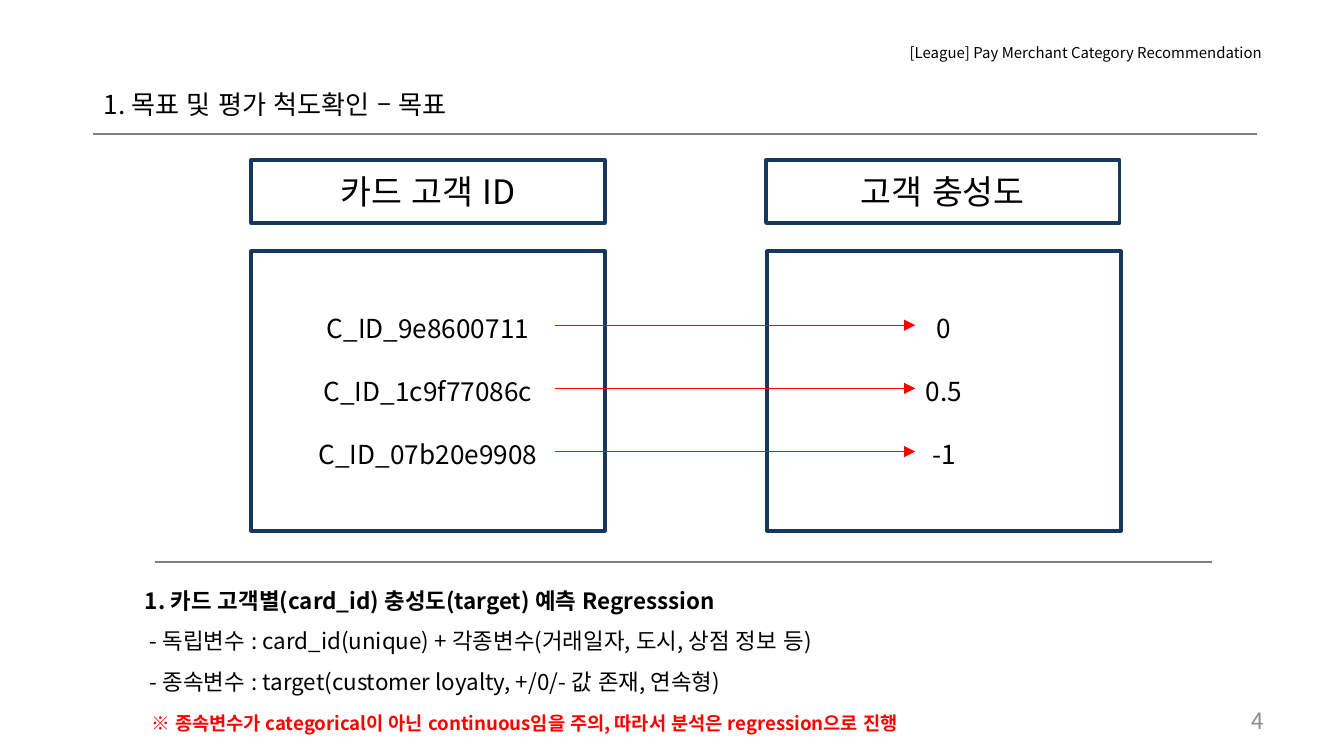
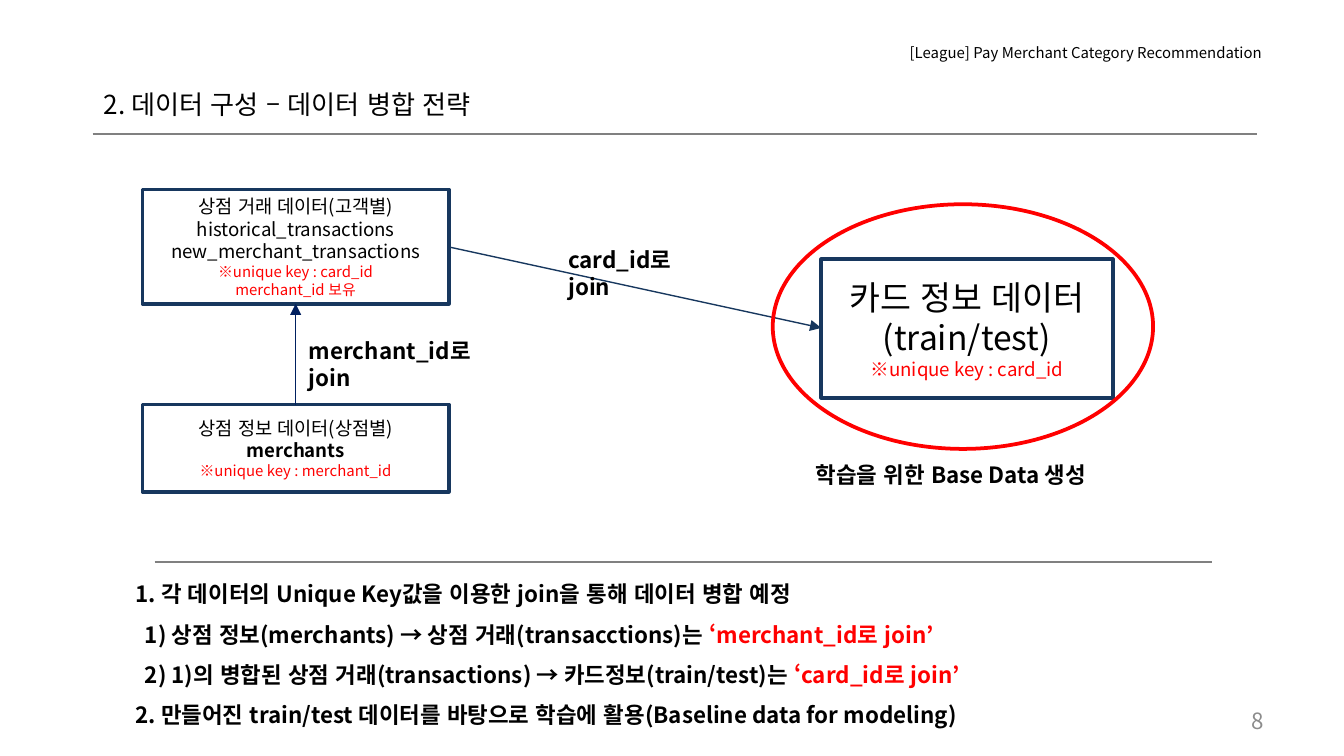
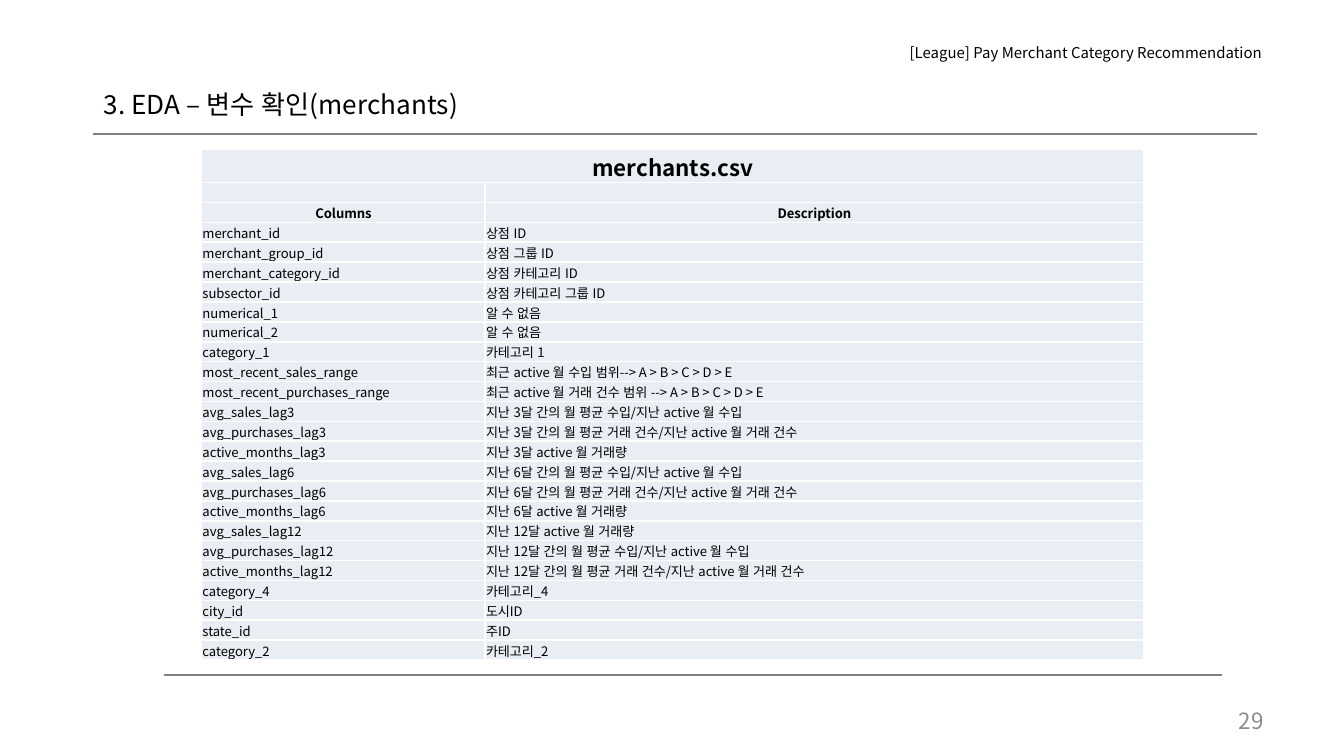
"""Build three slides on card loyalty: goal, data merge plan and merchant columns."""
from typing import NamedTuple

from lxml import etree
from pptx import Presentation
from pptx.dml.color import RGBColor
from pptx.enum.lang import MSO_LANGUAGE_ID
from pptx.enum.shapes import MSO_CONNECTOR, MSO_SHAPE
from pptx.enum.text import MSO_ANCHOR, MSO_AUTO_SIZE, PP_ALIGN
from pptx.oxml.ns import qn
from pptx.util import Inches, Pt

LEFT, CENTER, RIGHT, EVEN = PP_ALIGN.LEFT, PP_ALIGN.CENTER, PP_ALIGN.RIGHT, PP_ALIGN.JUSTIFY
TOP, MIDDLE, BOTTOM = MSO_ANCHOR.TOP, MSO_ANCHOR.MIDDLE, MSO_ANCHOR.BOTTOM
RECT, OVAL = MSO_SHAPE.RECTANGLE, MSO_SHAPE.OVAL
STRAIGHT = MSO_CONNECTOR.STRAIGHT
NO_FIT = MSO_AUTO_SIZE.NONE
KOREAN = MSO_LANGUAGE_ID.KOREAN

FONT = "Noto Sans CJK KR"
BLACK, WHITE, GRAY, PALE = "000000", "FFFFFF", "808080", "E9EDF4"
NAVY, DEEP, RED, FAINT = "17375E", "002060", "FF0000", "8C8C8C"
HEADER = "[League] Pay Merchant Category Recommendation"
TITLE_ONLY = 5


class Span(NamedTuple):
    """A piece of text with one look."""
    text: str
    size: float = 12
    color: str = BLACK
    bold: bool = False


class Para(NamedTuple):
    """A paragraph made of spans."""
    spans: list[Span]
    align: PP_ALIGN = LEFT
    space: float = 1
    before: float = 0
    indent: float = 0


class Box(NamedTuple):
    """A place on the slide in inches."""
    left: float
    top: float
    width: float
    height: float


class Link(NamedTuple):
    """A straight line from one point to another."""
    x1: float
    y1: float
    x2: float
    y2: float
    color: str = GRAY
    width: float = 1
    arrow: bool = False


def rgb(code: str) -> RGBColor:
    """Turn a hex string into a colour."""
    return RGBColor.from_string(code)


def place(box: Box) -> list[int]:
    """Turn a box into four lengths."""
    return [Inches(side) for side in box]


def set_font(props) -> None:
    """Name the font for Latin and East Asian letters."""
    for tag in ("a:latin", "a:ea"):
        etree.SubElement(props, qn(tag), typeface=FONT)


def write(frame, paras: list[Para], anchor: MSO_ANCHOR = TOP) -> None:
    """Fill a text frame with paragraphs."""
    frame.word_wrap = True
    frame.auto_size = NO_FIT
    frame.vertical_anchor = anchor
    for index, para in enumerate(paras):
        line = frame.paragraphs[0] if index == 0 else frame.add_paragraph()
        fill_para(line, para)


def fill_para(line, para: Para) -> None:
    """Write the spans of one paragraph and format them."""
    line.alignment = para.align
    line.line_spacing = para.space
    line.space_before = Pt(para.before)
    if para.indent:
        line._p.get_or_add_pPr().set("marL", str(Inches(para.indent)))
    for span in para.spans:
        run = line.add_run()
        run.text = span.text
        run.font.size = Pt(span.size)
        run.font.bold = span.bold
        run.font.language_id = KOREAN
        run.font.color.rgb = rgb(span.color)
        set_font(run._r.get_or_add_rPr())


def center(*spans: Span, before: float = 0) -> list[Para]:
    """Give each span a centred paragraph, with a gap between them."""
    return [Para([span], CENTER, before=before if index else 0)
            for index, span in enumerate(spans)]


def add_note(slide, box: Box, paras: list[Para], anchor: MSO_ANCHOR = TOP) -> None:
    """Add a plain text box."""
    write(slide.shapes.add_textbox(*place(box)).text_frame, paras, anchor)


def add_label(slide, box: Box, text: str) -> None:
    """Add a bold label."""
    add_note(slide, box, [Para([Span(text, bold=True)])])


def add_frame(slide, box: Box, paras: list[Para], color: str = NAVY,
              kind: MSO_SHAPE = RECT) -> None:
    """Add an outlined shape without fill."""
    shape = slide.shapes.add_shape(kind, *place(box))
    shape.shadow.inherit = False
    shape.fill.background()
    shape.line.color.rgb = rgb(color)
    shape.line.width = Pt(2)
    write(shape.text_frame, paras, MIDDLE)


def add_link(slide, link: Link) -> None:
    """Add a line, with an arrowhead if wanted."""
    ends = [Inches(point) for point in link[:4]]
    line = slide.shapes.add_connector(STRAIGHT, *ends)
    line.line.color.rgb = rgb(link.color)
    line.line.width = Pt(link.width)
    props = line._element.spPr
    if link.arrow:
        etree.SubElement(props.find(qn("a:ln")), qn("a:tailEnd"), type="triangle")
    etree.SubElement(props, qn("a:effectLst"))


def add_page(deck, title: str, number: int, rule: Link):
    """Add a slide with its title, header, page number and two rules."""
    slide = deck.slides.add_slide(deck.slide_layouts[TITLE_ONLY])
    head = slide.shapes.title
    head.left, head.top, head.width, head.height = place(Box(0.67, 0.61, 8.66, 0.34))
    write(head.text_frame, [Para([Span(title, 14)], EVEN)])
    add_note(slide, Box(7.17, 5.21, 2.33, 0.3),
             [Para([Span(str(number), 12, FAINT)], RIGHT)], MIDDLE)
    add_note(slide, Box(6.67, 0.19, 3.22, 0.4), [Para([Span(HEADER, 8)])], MIDDLE)
    add_link(slide, Link(0.69, 1, 9.35, 1))
    add_link(slide, rule)
    return slide


def add_goal(deck) -> None:
    """Map card ids to loyalty scores."""
    slide = add_page(deck, "1. 목표 및 평가 척도확인 – 목표", 4, Link(1.15, 4.18, 9.02, 4.18))
    points = [
        [Span("1. 카드 고객별(card_id) 충성도(target) 예측 Regresssion", bold=True)],
        [Span(" - 독립변수 : card_id(unique) + 각종변수(거래일자, 도시, 상점 정보 등)")],
        [Span(" - 종속변수 : target(customer loyalty, +/0/- 값 존재, 연속형)")],
        [Span(" ", color=RED, bold=True),
         Span("※ 종속변수가 categorical이 아닌 continuous임을 주의, "
              "따라서 분석은 regression으로 진행", 10, RED, True)],
    ]
    add_note(slide, Box(0.98, 4.22, 8.05, 1.27),
             [Para(spans, EVEN, 1.5) for spans in points])
    columns = [
        (1.87, 1.87, "카드 고객 ID", ["C_ID_9e8600711", "C_ID_1c9f77086c", "C_ID_07b20e9908"]),
        (5.7, 5.71, "고객 충성도", ["0", "0.5", "-1"]),
    ]
    for cap, body, name, items in columns:
        add_frame(slide, Box(cap, 1.19, 2.63, 0.47), center(Span(name, 18)))
        add_frame(slide, Box(body, 1.87, 2.63, 2.08),
                  center(*[Span(item, 14) for item in items], before=16.75))
    for row in range(3):
        y = 2.42 + row * 0.47
        add_link(slide, Link(4.13, y, 6.81, y, RED, 0.75, True))


def add_merge(deck) -> None:
    """Show how the tables join into the base data."""
    slide = add_page(deck, "2. 데이터 구성 – 데이터 병합 전략", 8, Link(1.15, 4.18, 9.02, 4.18))
    steps = [
        (0, "1. 각 데이터의 Unique Key값을 이용한 join을 통해 데이터 병합 예정", ""),
        (0.07, "1) 상점 정보(merchants) → 상점 거래(transacctions)는 ", "‘merchant_id로 join’"),
        (0.07, "2) 1)의 병합된 상점 거래(transactions) → 카드정보(train/test)는 ",
         "‘card_id로 join’"),
        (0, "2. 만들어진 train/test 데이터를 바탕으로 학습에 활용(Baseline data for modeling)", ""),
    ]
    paras = []
    for indent, text, key in steps:
        spans = [Span(text, bold=True)]
        if key:
            spans.append(Span(key, color=RED, bold=True))
        paras.append(Para(spans, EVEN, 1.5, indent=indent))
    add_note(slide, Box(0.91, 4.17, 8.35, 1.27), paras)

    add_frame(slide, Box(1.06, 1.41, 2.28, 0.85), center(
        Span("상점 거래 데이터(고객별)", 10),
        Span("historical_transactions", 10),
        Span("new_merchant_transactions", 10),
        Span("※unique key : card_id", 8, RED),
        Span("merchant_id 보유", 8, RED)))
    add_frame(slide, Box(1.06, 3.01, 2.28, 0.65), center(
        Span("상점 정보 데이터(상점별)", 10),
        Span("merchants", 10, bold=True),
        Span("※unique key : merchant_id", 8, RED)))
    add_link(slide, Link(2.2, 3.01, 2.2, 2.26, DEEP, 0.75, True))
    add_label(slide, Box(2.2, 2.46, 1.71, 0.3), "merchant_id로 join")
    add_link(slide, Link(3.35, 1.84, 6.11, 2.44, NAVY, 0.75, True))
    add_label(slide, Box(4.13, 1.78, 1.3, 0.3), "card_id로 join")
    add_frame(slide, Box(6.11, 1.93, 2.17, 1.03), center(
        Span("카드 정보 데이터", 18),
        Span("(train/test)", 18),
        Span("※unique key : card_id", 10, RED)))
    add_frame(slide, Box(5.75, 1.52, 2.83, 1.82), [], RED, OVAL)
    add_label(slide, Box(5.97, 3.38, 2.39, 0.3), "학습을 위한 Base Data 생성")


FIELDS = [
    ("merchant_id", "상점 ID"),
    ("merchant_group_id", "상점 그룹 ID"),
    ("merchant_category_id", "상점 카테고리 ID"),
    ("subsector_id", "상점 카테고리 그룹 ID"),
    ("numerical_1", "알 수 없음"),
    ("numerical_2", "알 수 없음"),
    ("category_1", "카테고리 1"),
    ("most_recent_sales_range", "최근 active 월 수입 범위--> A > B > C > D > E"),
    ("most_recent_purchases_range", "최근 active 월 거래 건수 범위 --> A > B > C > D > E"),
    ("avg_sales_lag3", "지난 3달 간의 월 평균 수입/지난 active 월 수입"),
    ("avg_purchases_lag3", "지난 3달 간의 월 평균 거래 건수/지난 active 월 거래 건수"),
    ("active_months_lag3", "지난 3달 active 월 거래량"),
    ("avg_sales_lag6", "지난 6달 간의 월 평균 수입/지난 active 월 수입"),
    ("avg_purchases_lag6", "지난 6달 간의 월 평균 거래 건수/지난 active 월 거래 건수"),
    ("active_months_lag6", "지난 6달 active 월 거래량"),
    ("avg_sales_lag12", "지난 12달 active 월 거래량"),
    ("avg_purchases_lag12", "지난 12달 간의 월 평균 수입/지난 active 월 수입"),
    ("active_months_lag12", "지난 12달 간의 월 평균 거래 건수/지난 active 월 거래 건수"),
    ("category_4", "카테고리_4"),
    ("city_id", "도시ID"),
    ("state_id", "주ID"),
    ("category_2", "카테고리_2"),
]


def set_cell(cell, text: str, size: float, head: bool) -> None:
    """Write one table cell with its borders and fill."""
    props = cell._tc.get_or_add_tcPr()
    for side in ("a:lnL", "a:lnR", "a:lnT", "a:lnB"):
        edge = etree.SubElement(props, qn(side), w=str(Pt(1)))
        paint = etree.SubElement(edge, qn("a:solidFill"))
        etree.SubElement(paint, qn("a:srgbClr"), val=WHITE)
    cell.fill.solid()
    cell.fill.fore_color.rgb = rgb(PALE)
    cell.margin_left = cell.margin_right = cell.margin_top = Pt(0.5)
    cell.margin_bottom = 0
    cell.vertical_anchor = BOTTOM
    line = cell.text_frame.paragraphs[0]
    if text:
        fill_para(line, Para([Span(text, size, bold=head)], CENTER if head else LEFT))
    else:
        line._p.get_or_add_endParaRPr().set("sz", str(int(size * 100)))


def add_fields(deck) -> None:
    """List the merchant columns in a table."""
    slide = add_page(deck, "3. EDA – 변수 확인(merchants)", 29, Link(1.22, 5.02, 9.09, 5.02))
    rows = [("merchants.csv", ""), ("", ""), ("Columns", "Description"), *FIELDS]
    grid = slide.shapes.add_table(len(rows), 2, *place(Box(1.5, 1.11, 7.01, 3.71)))
    table = grid.table
    table.first_row = table.horz_banding = False
    for column, width in zip(table.columns, (2.11, 4.9)):
        column.width = Inches(width)
    sizes = {(0, 0): 12, (0, 1): 9.5}
    for index, row in enumerate(rows):
        for side, text in enumerate(row):
            size = sizes.get((index, side), 7)
            set_cell(table.cell(index, side), text, size, index < 3)
    table.cell(0, 0).merge(table.cell(0, 1))
    grid.height = Inches(3.77)


def main() -> None:
    """Build and save the deck."""
    deck = Presentation()
    deck.slide_width = Inches(10)
    deck.slide_height = deck.slide_width * 9 // 16
    add_goal(deck)
    add_merge(deck)
    add_fields(deck)
    deck.save("out.pptx")


if __name__ == "__main__":
    main()
